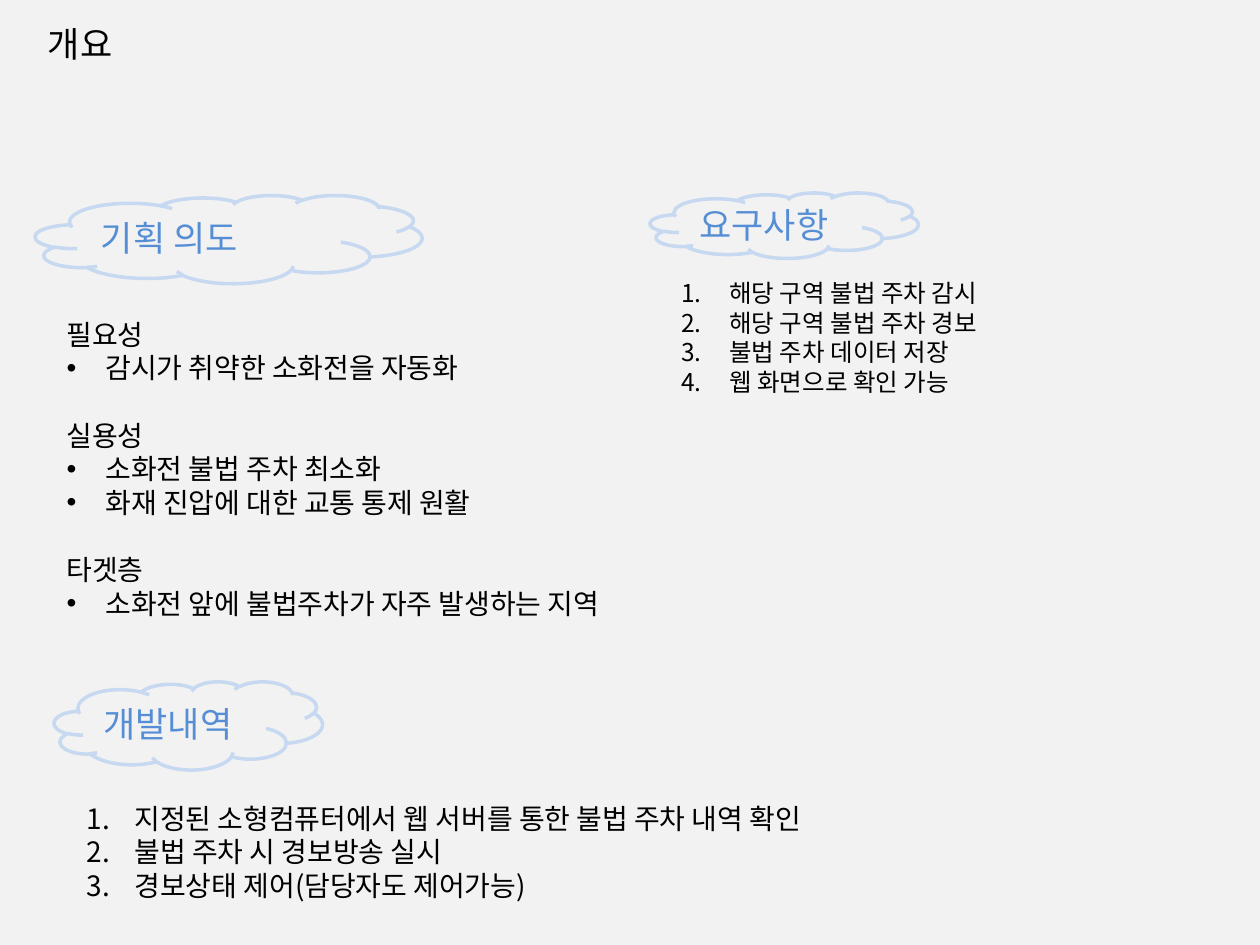
from dataclasses import dataclass

from lxml.etree import SubElement
from pptx import Presentation
from pptx.dml.color import RGBColor
from pptx.enum.shapes import MSO_SHAPE
from pptx.enum.text import MSO_ANCHOR, MSO_AUTO_SIZE, PP_ALIGN
from pptx.oxml.ns import qn
from pptx.util import Inches, Pt


@dataclass(frozen=True)
class Theme:
    font: str = "Noto Sans CJK KR"
    back: RGBColor = RGBColor(0xF2, 0xF2, 0xF2)
    ink: RGBColor = RGBColor(0, 0, 0)
    blue: RGBColor = RGBColor(0x55, 0x8E, 0xD5)
    edge: RGBColor = RGBColor(0xC6, 0xD9, 0xF1)
    head: int = 20
    body: int = 16
    small: int = 14
    lead: float = 1.2


THEME = Theme()


def add_run(para, text, size, color):
    para.alignment = PP_ALIGN.LEFT
    para.line_spacing = Pt(size * THEME.lead)
    run = para.add_run()
    run.text = text
    run.font.name = THEME.font
    run.font.size = Pt(size)
    run.font.color.rgb = color
    SubElement(run.font._element, qn("a:ea"), typeface=THEME.font)


def add_mark(para, tag, indent, **attrs):
    props = para._p.get_or_add_pPr()
    props.set("marL", str(Inches(indent)))
    props.set("indent", str(-Inches(indent)))
    SubElement(props, qn("a:buFont"), typeface="Arial")
    SubElement(props, qn(tag), **attrs)


def add_box(slide, *area):
    frame = slide.shapes.add_textbox(*map(Inches, area)).text_frame
    frame.word_wrap = True
    return frame


def next_para(frame):
    first = frame.paragraphs[0]
    return frame.add_paragraph() if first.runs else first


def add_title(slide, text):
    title = slide.shapes.title
    title.left, title.top = Inches(0.28), Inches(0.13)
    title.width, title.height = Inches(4.8), Inches(0.87)
    frame = title.text_frame
    frame.auto_size = MSO_AUTO_SIZE.NONE
    frame.vertical_anchor = MSO_ANCHOR.TOP
    add_run(frame.paragraphs[0], text, THEME.head, THEME.ink)


def add_cloud(slide, text, *area):
    cloud = slide.shapes.add_shape(MSO_SHAPE.CLOUD, *map(Inches, area))
    cloud.shadow.inherit = False
    cloud.fill.background()
    cloud.line.color.rgb = THEME.edge
    cloud.line.width = Pt(2)
    frame = cloud.text_frame
    frame.vertical_anchor = MSO_ANCHOR.MIDDLE
    add_run(frame.paragraphs[0], text, THEME.head, THEME.blue)


def add_groups(slide, groups, *area):
    frame = add_box(slide, *area)
    for order, (name, points) in enumerate(groups):
        para = next_para(frame)
        if order:
            para.space_before = Pt(THEME.body * THEME.lead)
        add_run(para, name, THEME.body, THEME.ink)
        for point in points:
            para = next_para(frame)
            add_run(para, point, THEME.body, THEME.ink)
            add_mark(para, "a:buChar", 0.31, char="•")


def add_steps(slide, steps, size, *area):
    frame = add_box(slide, *area)
    for step in steps:
        para = next_para(frame)
        add_run(para, step, size, THEME.ink)
        add_mark(para, "a:buAutoNum", 0.38, type="arabicPeriod")


def main():
    deck = Presentation()
    deck.slide_width, deck.slide_height = Inches(10), Inches(7.5)
    slide = deck.slides.add_slide(deck.slide_layouts[5])
    slide.background.fill.solid()
    slide.background.fill.fore_color.rgb = THEME.back

    add_title(slide, "개요")

    groups = [
        ("필요성", ["감시가 취약한 소화전을 자동화"]),
        ("실용성", ["소화전 불법 주차 최소화", "화재 진압에 대한 교통 통제 원활"]),
        ("타겟층", ["소화전 앞에 불법주차가 자주 발생하는 지역"]),
    ]
    add_groups(slide, groups, 0.43, 2.47, 8.03, 2.83)
    add_cloud(slide, "기획 의도", 0.28, 1.55, 3.07, 0.7)

    works = [
        "지정된 소형컴퓨터에서 웹 서버를 통한 불법 주차 내역 확인",
        "불법 주차 시 경보방송 실시",
        "경보상태 제어(담당자도 제어가능)",
    ]
    add_steps(slide, works, THEME.body, 0.59, 6.31, 6.93, 0.91)
    add_cloud(slide, "개발내역", 0.43, 5.41, 2.13, 0.7)

    needs = [
        "해당 구역 불법 주차 감시",
        "해당 구역 불법 주차 경보",
        "불법 주차 데이터 저장",
        "웹 화면으로 확인 가능",
    ]
    add_steps(slide, needs, THEME.small, 5.31, 2.16, 3.94, 1.04)
    add_cloud(slide, "요구사항", 5.16, 1.53, 2.13, 0.52)

    deck.save("out.pptx")


if __name__ == "__main__":
    main()
